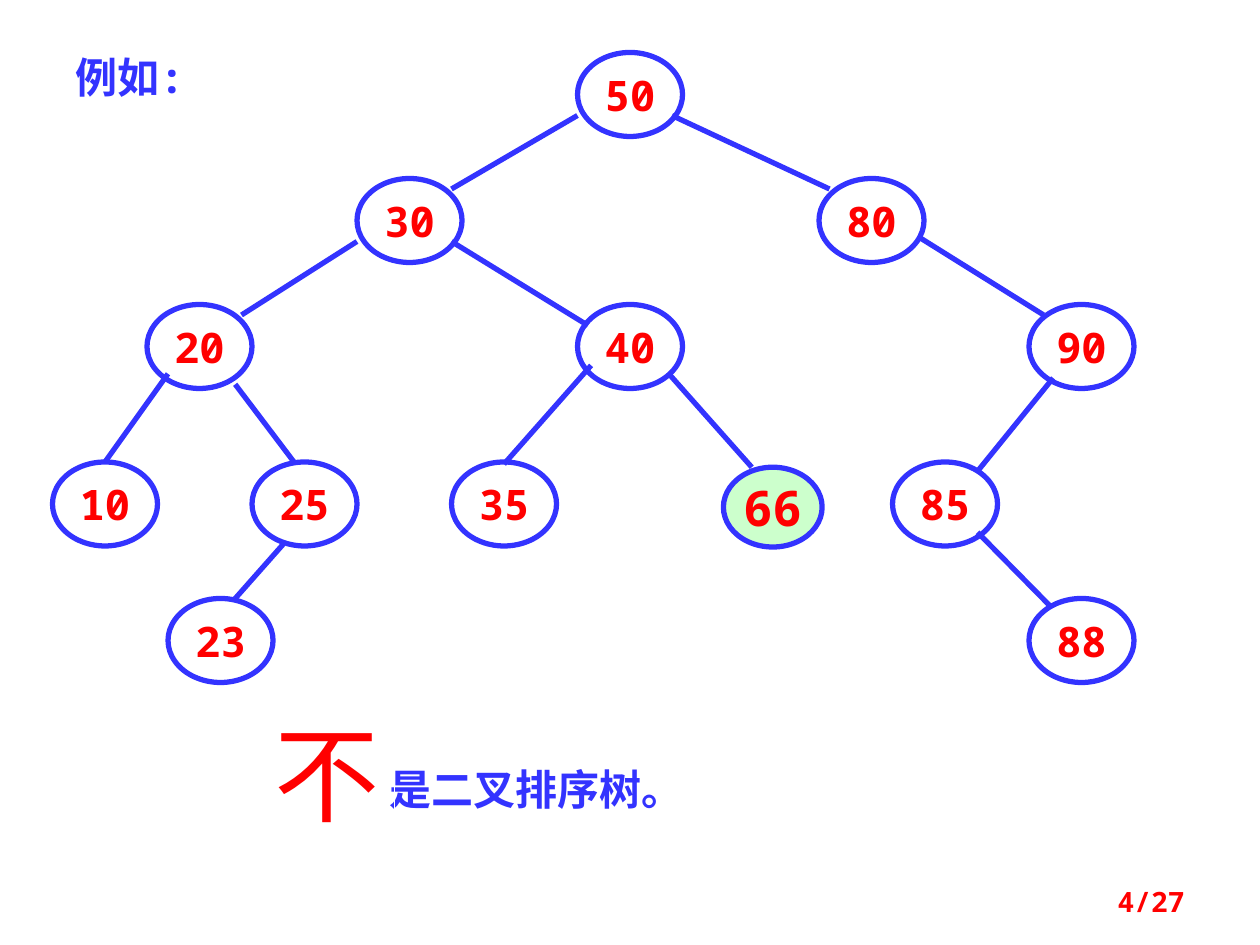
from dataclasses import dataclass
from lxml.etree import SubElement
from pptx import Presentation
from pptx.dml.color import RGBColor
from pptx.enum.shapes import MSO_CONNECTOR, MSO_SHAPE
from pptx.enum.text import MSO_ANCHOR, MSO_AUTO_SIZE, PP_ALIGN
from pptx.oxml.ns import qn
from pptx.util import Inches, Pt


@dataclass(frozen=True)
class Theme:
    font: str = "Noto Sans Mono"
    blue: RGBColor = RGBColor(0x33, 0x33, 0xFF)
    red: RGBColor = RGBColor(0xFF, 0, 0)
    green: RGBColor = RGBColor(0xCC, 0xFF, 0xCC)
    white: RGBColor = RGBColor(0xFF, 0xFF, 0xFF)
    body: int = 24
    accent: int = 28
    huge: int = 60
    small: int = 16
    stroke: int = 3
    hair: float = 0.75


THEME = Theme()
COLS = 12  # grid cells per inch
NODE = (10, 8)  # node width and height in cells

# Row of each tree level: column and key of its nodes
LEVELS = {
    5: [(55, "50")],
    17: [(34, "30"), (78, "80")],
    29: [(14, "20"), (55, "40"), (98, "90")],
    44: [(5, "10"), (24, "25"), (43, "35"), (85, "85")],
    57: [(16, "23"), (98, "88")],
}

# Branches: start column and row, end column and row
EDGES = [
    (55, 11, 43, 18), (64, 11, 79, 18),  # 50 to 30, 80
    (34, 23, 23, 30), (43, 23, 56, 31),  # 30 to 20, 40
    (87.7, 22.7, 99.4, 30),  # 80 to 90
    (16, 35.6, 10, 44), (22.4, 36.6, 28, 44),  # 20 to 10, 25
    (56.3, 34.8, 48, 44.2), (63.7, 35.6, 71.6, 44.5),  # 40 to 35, 66
    (100.3, 36, 93, 45),  # 90 to 85
    (27, 51.8, 22.4, 57),  # 25 to 23
    (93.1, 50.7, 100, 57.7),  # 85 to 88
]


def cells(*counts):
    return [Inches(count / COLS) for count in counts]


def write(shape, text, size, color, align=PP_ALIGN.LEFT, bold=True):
    para = shape.text_frame.paragraphs[0]
    para.text = text
    para.alignment = align
    font = para.font
    font.name, font.size, font.bold = THEME.font, Pt(size), bold
    font.color.rgb = color


def outline(shape, color, width):
    shape.line.color.rgb = color
    shape.line.width = Pt(width)


def add_node(slide, text, col, row, dims=NODE, size=THEME.body, fill=None):
    node = slide.shapes.add_shape(MSO_SHAPE.OVAL, *cells(col, row, *dims))
    node.shadow.inherit = False
    if fill is None:
        node.fill.background()
    else:
        node.fill.solid()
        node.fill.fore_color.rgb = fill
    outline(node, THEME.blue, THEME.stroke)
    node.text_frame.word_wrap = False
    node.text_frame.vertical_anchor = MSO_ANCHOR.MIDDLE
    write(node, text, size, THEME.red, PP_ALIGN.CENTER)


def add_edge(slide, ends):
    edge = slide.shapes.add_connector(MSO_CONNECTOR.STRAIGHT, *cells(*ends))
    outline(edge, THEME.blue, THEME.stroke)
    SubElement(edge._element.spPr, qn("a:effectLst"))


def add_label(slide, text, box, size, color, bold=True):
    label = slide.shapes.add_shape(MSO_SHAPE.RECTANGLE, *cells(*box))
    label.shadow.inherit = False
    label.fill.background()
    outline(label, THEME.white, THEME.hair)
    frame = label.text_frame
    frame.word_wrap = True
    frame.auto_size = MSO_AUTO_SIZE.SHAPE_TO_FIT_TEXT
    frame.vertical_anchor = MSO_ANCHOR.TOP
    write(label, text, size, color, bold=bold)


def add_page(slide, text):
    box = slide.shapes.add_textbox(*cells(86, 83.4, 28, 4.8))
    box.text_frame.word_wrap = True
    box.text_frame.vertical_anchor = MSO_ANCHOR.MIDDLE
    write(box, text, THEME.small, THEME.red, PP_ALIGN.RIGHT)


def main():
    deck = Presentation()
    deck.slide_width, deck.slide_height = Inches(10), Inches(7.5)
    slide = deck.slides.add_slide(deck.slide_layouts[6])

    # Tree
    for row, nodes in LEVELS.items():
        for col, key in nodes:
            add_node(slide, key, col, row)
    for ends in EDGES:
        add_edge(slide, ends)

    # Key that breaks the order
    add_node(slide, "66", 68.9, 44.5, (9.4, 7.6), THEME.accent, THEME.green)

    # Heading and verdict
    add_label(slide, "例如:", (6, 4.3, 12.7, 6), THEME.body, THEME.blue)
    add_label(slide, "是二叉排序树。", (35.9, 72.1, 30.9, 6),
              THEME.body, THEME.blue)
    add_label(slide, "不", (25, 67, 12.6, 13.3), THEME.huge, THEME.red, False)

    add_page(slide, "4/27")
    deck.save("out.pptx")


if __name__ == "__main__":
    main()
